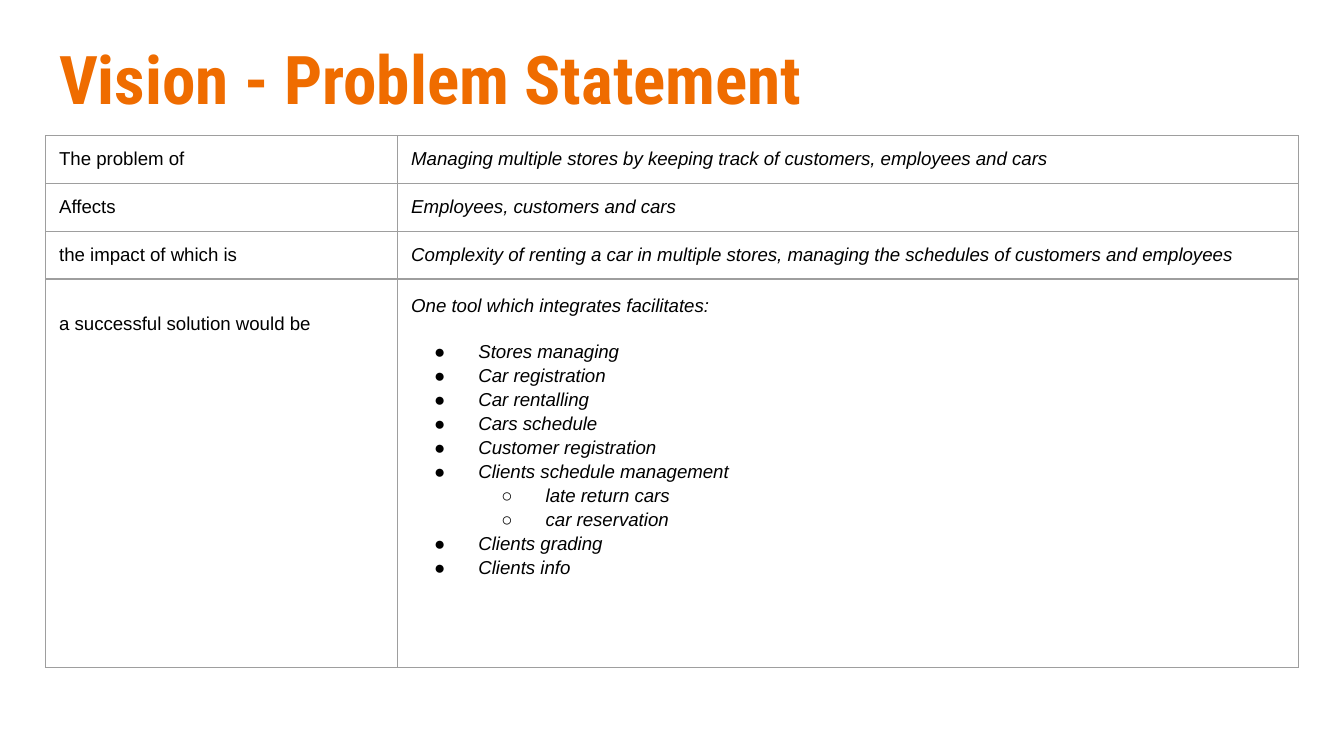
import pptx
import pptx.util
import pptx.dml.color
import pptx.enum.text
from lxml import etree
from pptx.oxml.ns import qn

Inches = pptx.util.Inches
Pt = pptx.util.Pt

# Content
TITLE = "Vision - Problem Statement"
STATEMENTS = [
    ("The problem of",
     "Managing multiple stores by keeping track of customers, employees and cars"),
    ("Affects", "Employees, customers and cars"),
    ("the impact of which is",
     "Complexity of renting a car in multiple stores, "
     "managing the schedules of customers and employees"),
    ("a successful solution would be", "One tool which integrates facilitates:"),
]
FEATURES = [  # (level, text)
    (0, "Stores managing"),
    (0, "Car registration"),
    (0, "Car rentalling"),
    (0, "Cars schedule"),
    (0, "Customer registration"),
    (0, "Clients schedule management"),
    (1, "late return cars"),
    (1, "car reservation"),
    (0, "Clients grading"),
    (0, "Clients info"),
]

# Style
COLORS = {"title": "EF6C00", "text": "000000", "border": "9E9E9E"}
BULLETS = "●○"
SLIDE_WIDTH = 10
LEFT, WIDTH = 0.34, 9.32
COLUMN_WIDTHS = [2.62, 6.7]
ROW_HEIGHTS = [0.35, 0.35, 0.35, 2.89]
MARGIN = 0.1
LABEL_DROP = 0.16  # the last label sits one line lower


def add_run(paragraph, text, font, size, color, bold=False, italic=False):
    run = paragraph.add_run()
    run.text = text
    run.font.name = font
    run.font.size = Pt(size)
    run.font.bold = bold
    run.font.italic = italic
    run.font.color.rgb = pptx.dml.color.RGBColor.from_string(COLORS[color])


def set_margins(target):
    for side in ("left", "right", "top", "bottom"):
        setattr(target, "margin_" + side, Inches(MARGIN))


def set_borders(cell):
    properties = cell._tc.get_or_add_tcPr()
    for position, tag in enumerate(("a:lnL", "a:lnR", "a:lnT", "a:lnB")):
        line = etree.Element(qn(tag), w=str(Pt(0.75)))
        fill = etree.SubElement(line, qn("a:solidFill"))
        etree.SubElement(fill, qn("a:srgbClr"), val=COLORS["border"])
        properties.insert(position, line)


def set_bullet(paragraph, level):
    paragraph.level = level
    properties = paragraph._p.get_or_add_pPr()
    properties.set("marL", str(Inches(0.5 * (level + 1))))
    properties.set("indent", str(Inches(-0.33)))
    color = etree.SubElement(properties, qn("a:buClr"))
    etree.SubElement(color, qn("a:srgbClr"), val=COLORS["text"])
    etree.SubElement(properties, qn("a:buFont"), typeface="Arial")
    etree.SubElement(properties, qn("a:buChar"), char=BULLETS[level])


# Widescreen slide, 16:9
presentation = pptx.Presentation()
presentation.slide_width = Inches(SLIDE_WIDTH)
presentation.slide_height = Inches(SLIDE_WIDTH * 9 / 16)
slide = presentation.slides.add_slide(presentation.slide_layouts[5])

# Title
title = slide.shapes.title
title.left, title.top = Inches(LEFT), Inches(0.18)
title.width, title.height = Inches(WIDTH), Inches(0.77)
frame = title.text_frame
set_margins(frame)
frame.word_wrap = True
frame.auto_size = pptx.enum.text.MSO_AUTO_SIZE.NONE
frame.vertical_anchor = pptx.enum.text.MSO_ANCHOR.TOP
frame.paragraphs[0].alignment = pptx.enum.text.PP_ALIGN.LEFT
add_run(frame.paragraphs[0], TITLE, "Roboto Condensed", 36, "title", bold=True)

# Problem statement table
table = slide.shapes.add_table(
    len(STATEMENTS), len(COLUMN_WIDTHS), Inches(LEFT), Inches(1.01),
    Inches(WIDTH), Inches(sum(ROW_HEIGHTS))).table
table.first_row = False
table.horz_banding = False
for column, width in zip(table.columns, COLUMN_WIDTHS):
    column.width = Inches(width)
for row, height in zip(table.rows, ROW_HEIGHTS):
    row.height = Inches(height)
for row_index, texts in enumerate(STATEMENTS):
    for column_index, text in enumerate(texts):
        cell = table.cell(row_index, column_index)
        cell.fill.background()
        set_margins(cell)
        set_borders(cell)
        add_run(cell.text_frame.paragraphs[0], text, "Arial", 10, "text",
                italic=column_index == 1)

# Solution row: lowered label and feature list
label_cell, solution_cell = table.rows[len(STATEMENTS) - 1].cells
label_cell.margin_top = Inches(MARGIN + LABEL_DROP)
solution = solution_cell.text_frame
solution.paragraphs[0].line_spacing = 1.15
for index, (level, text) in enumerate(FEATURES):
    paragraph = solution.add_paragraph()
    paragraph.line_spacing = 1.15
    paragraph.space_before = Pt(0 if index else 12)
    set_bullet(paragraph, level)
    add_run(paragraph, text, "Arial", 10, "text", italic=True)

presentation.save("out.pptx")
